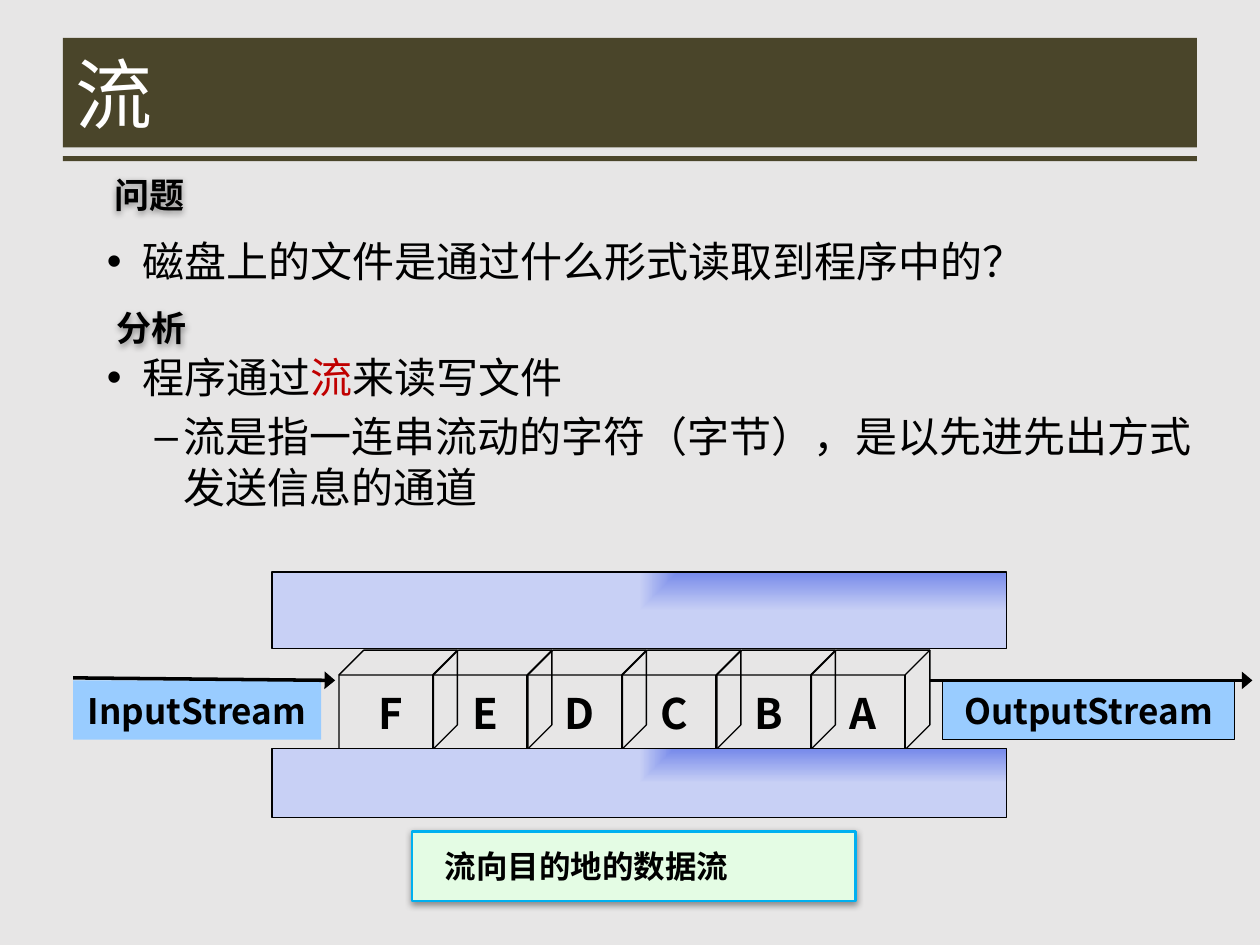
from dataclasses import dataclass
from typing import NamedTuple, Optional

from lxml import etree
from pptx import Presentation, util as u
from pptx.dml.color import RGBColor
from pptx.enum import shapes as sh, text as tx
from pptx.oxml.ns import qn


@dataclass(frozen=True)
class Theme:
    font: str = "Noto Sans CJK SC"
    back: str = "E7E6E6"
    bar: str = "4A452A"
    white: str = "FFFFFF"
    ink: str = "000000"
    red: str = "C00000"
    tag: str = "99CCFF"
    note: str = "E4FCE4"
    edge: str = "00B0F0"
    deep: str = "7689EA"
    pale: str = "C8D0F5"
    title: int = 44
    body: int = 24
    label: int = 20
    small: int = 18
    thin: float = 0.75
    thick: float = 2


class Box(NamedTuple):
    """A place on the grid of 100 columns by 75 rows."""
    col: float
    row: float
    wide: float
    high: float


class Tag(NamedTuple):
    words: str
    box: Box
    line: Optional[str]


class Point(NamedTuple):
    words: list
    lead: float
    bullet: str
    left: float
    hang: float
    level: int = 0


T = Theme()
CELL = u.Inches(0.1)
RECT = sh.MSO_SHAPE.RECTANGLE
CUBE = sh.MSO_SHAPE.CUBE
LEFT, MID = tx.PP_ALIGN.LEFT, tx.PP_ALIGN.CENTER

BARS = [Box(5, 3, 90, 8.7), Box(5, 12.4, 90, 0.4)]
HEADS = [("问题", Box(8.1, 13.2, 7.7, 4.4)), ("分析", Box(8.3, 23.8, 7.7, 4.4))]
POINTS = [
    Point([("磁盘上的文件是通过什么形式读取到程序中的？", T.ink)], 0, "•", 0.28, 0.28),
    Point([("程序通过", T.ink), ("流", T.red), ("来读写文件", T.ink)],
          37.7, "•", 0.28, 0.28),
    Point([("流是指一连串流动的字符（字节），是以先进先出方式发送信息的通道", T.ink)],
          4.8, "–", 0.61, 0.23, 1),
]
TAGS = [Tag("InputStream", Box(5.8, 54, 19.7, 4.7), None),
        Tag("OutputStream", Box(74.8, 54, 23.2, 4.7), T.ink)]
ARROWS = [((73.8, 54), (99.4, 54)), ((5.8, 53.8), (26.6, 54))]
BANDS = [Box(21.6, 45.4, 58.3, 6.1), Box(21.6, 59.4, 58.3, 5.5)]
FIRST, STEP = Box(26.9, 51.6, 9.4, 7.9), 7.5


def grid(*cells: float) -> list:
    return [round(c * CELL) for c in cells]


def rgb(code: str) -> RGBColor:
    return RGBColor.from_string(code)


def node(up, tag: str, **attrs):
    kid = etree.SubElement(up, qn(tag))
    for key, val in attrs.items():
        kid.set(key, str(val))
    return kid


def style(run, size: int, color: str, bold: bool = False) -> None:
    run.font.name, run.font.size, run.font.bold = T.font, u.Pt(size), bold
    run.font.color.rgb = rgb(color)
    node(run.font._element, "a:ea", typeface=T.font)


def write(shape, words: str, size: int, color: str = T.ink, bold: bool = True,
          align=MID, wrap: bool = False) -> None:
    frame = shape.text_frame
    frame.text = words
    frame.word_wrap = wrap
    frame.vertical_anchor = tx.MSO_ANCHOR.MIDDLE
    para = frame.paragraphs[0]
    para.alignment = align
    style(para.runs[0], size, color, bold)


def block(page, box: Box, fill: Optional[str] = None, line: Optional[str] = None,
          width: float = T.thin, kind=RECT):
    shape = page.shapes.add_shape(kind, *grid(*box))
    shape.shadow.inherit = False
    if fill:
        shape.fill.solid()
        shape.fill.fore_color.rgb = rgb(fill)
    else:
        shape.fill.background()
    if line:
        shape.line.color.rgb = rgb(line)
        shape.line.width = u.Pt(width)
    else:
        shape.line.fill.background()
    return shape


def shade(shape) -> None:
    """Give the shape a soft shadow straight below it."""
    root = shape._element.spPr.find(qn("a:effectLst"))
    cast = node(root, "a:outerShdw", blurRad=u.Pt(4), dist=u.Pt(1.5),
                dir=5400000, rotWithShape=0)
    tint = node(cast, "a:srgbClr", val=T.ink)
    node(tint, "a:alpha", val=40000)


def band(page, box: Box) -> None:
    """Draw a pipe wall whose gradient spreads from the top right corner."""
    shape = block(page, box, line=T.ink)
    shape.fill.gradient()
    for stop, color in zip(shape.fill.gradient_stops, (T.deep, T.pale)):
        stop.color.rgb = rgb(color)
    grad = shape._element.spPr.find(qn("a:gradFill"))
    grad.remove(grad.find(qn("a:lin")))
    way = node(grad, "a:path", path="rect")
    node(way, "a:fillToRect", l=100000, b=100000)


def arrow(page, start: tuple, end: tuple) -> None:
    link = page.shapes.add_connector(sh.MSO_CONNECTOR.STRAIGHT,
                                     *grid(*start, *end))
    link.line.color.rgb = rgb(T.ink)
    link.line.width = u.Pt(T.thick)
    node(link.line._get_or_add_ln(), "a:tailEnd", type="triangle", w="lg")
    node(link._element.spPr, "a:effectLst")


def bullets(page, box: Box, points: list) -> None:
    frame = page.shapes.add_textbox(*grid(*box)).text_frame
    frame.word_wrap = True
    for i, point in enumerate(points):
        para = frame.add_paragraph() if i else frame.paragraphs[0]
        para.level = point.level
        para.space_before = u.Pt(point.lead)
        props = para._p.get_or_add_pPr()
        props.set("marL", str(u.Inches(point.left)))
        props.set("indent", str(-u.Inches(point.hang)))
        node(props, "a:buFont", typeface="Arial")
        node(props, "a:buChar", char=point.bullet)
        for words, color in point.words:
            run = para.add_run()
            run.text = words
            style(run, T.body, color)


def main() -> None:
    deck = Presentation()
    deck.slide_width, deck.slide_height = grid(100, 75)
    page = deck.slides.add_slide(deck.slide_layouts[6])
    page.background.fill.solid()
    page.background.fill.fore_color.rgb = rgb(T.back)

    for bar in BARS:
        block(page, bar, T.bar)
    title = page.shapes.add_textbox(*grid(*BARS[0]))
    write(title, "流", T.title, T.white, False, LEFT, True)
    bullets(page, Box(7.5, 18.2, 90, 29.4), POINTS)

    for tag in TAGS:
        write(block(page, tag.box, T.tag, tag.line), tag.words, T.label)
    for start, end in ARROWS:
        arrow(page, start, end)

    note = block(page, Box(32.7, 66, 35.2, 5.5), T.note, T.edge, 1.5)
    shade(note)
    write(note, "流向目的地的数据流", T.small, align=LEFT, wrap=True)
    note.text_frame.margin_left = u.Inches(0.26)

    for i, letter in enumerate("FEDCBA"):
        box = FIRST._replace(col=FIRST.col + i * STEP)
        cube = block(page, box, line=T.ink, kind=CUBE)
        write(cube, letter, T.body)
        cube.text_frame.margin_left = u.Inches(0.18)
    for wall in BANDS:
        band(page, wall)
    for words, box in HEADS:
        head = block(page, box)
        write(head, words, T.label, align=LEFT)
        shade(head)

    deck.save("out.pptx")


if __name__ == "__main__":
    main()
